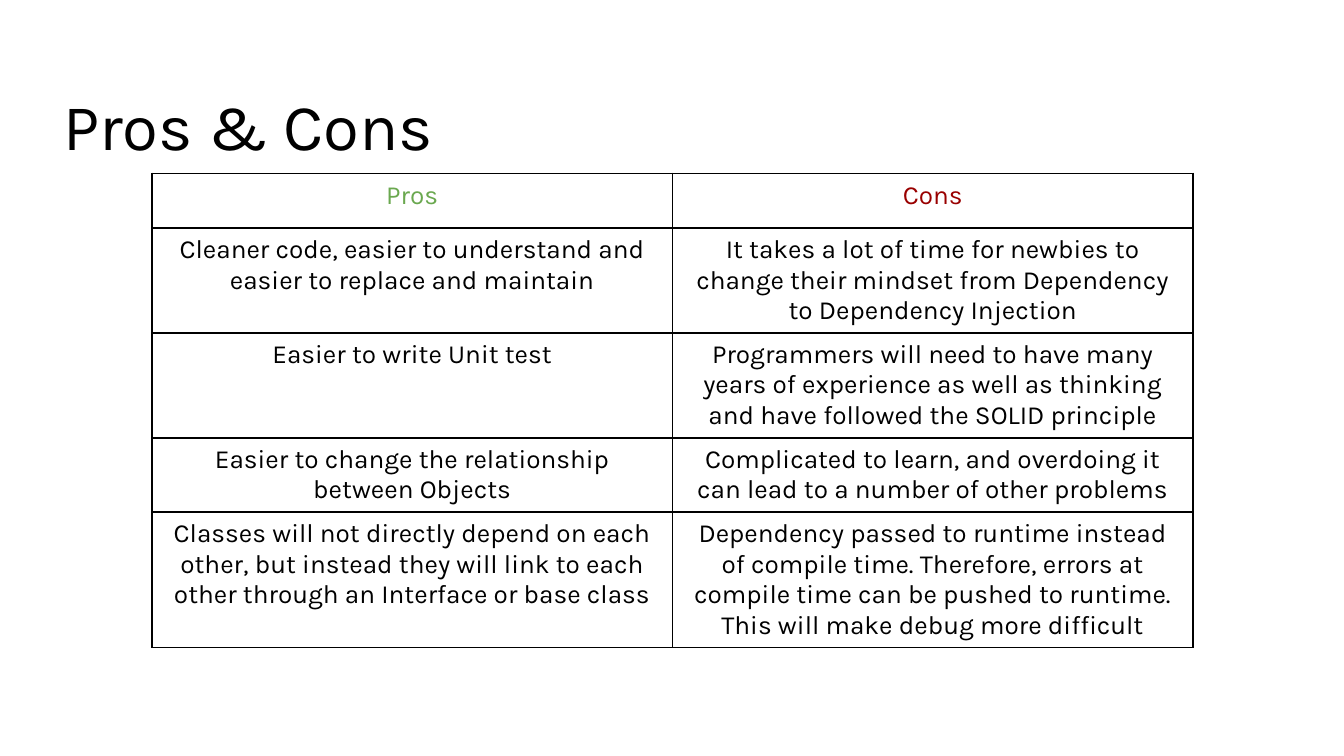
import pptx
import pptx.dml.color
import pptx.enum.text
import pptx.oxml
import pptx.oxml.ns
import pptx.util

Pt = pptx.util.Pt
RGBColor = pptx.dml.color.RGBColor
PP_ALIGN = pptx.enum.text.PP_ALIGN

BLACK = RGBColor(0x00, 0x00, 0x00)
WHITE = RGBColor(0xFF, 0xFF, 0xFF)
GREEN = RGBColor(0x6A, 0xA8, 0x4F)
RED = RGBColor(0x99, 0x00, 0x00)
FONT = "Karla"

TITLE = "Pros & Cons"
HEADINGS = [("Pros", GREEN), ("Cons", RED)]
POINTS = [
    ("Cleaner code, easier to understand and easier to replace and maintain",
     "It takes a lot of time for newbies to change their mindset from "
     "Dependency to Dependency Injection"),
    ("Easier to write Unit test",
     "Programmers will need to have many years of experience as well as "
     "thinking and have followed the SOLID principle"),
    ("Easier to change the relationship between Objects",
     "Complicated to learn, and overdoing it can lead to a number of other "
     "problems"),
    ("Classes will not directly depend on each other, but instead they will "
     "link to each other through an Interface or base class",
     "Dependency passed to runtime instead of compile time. Therefore, errors "
     "at compile time can be pushed to runtime. This will make debug more "
     "difficult"),
]

TABLE_LEFT, TABLE_TOP = 81.4, 92.9
COLUMN_WIDTH, ROW_HEIGHT = 278.9, 29.2
BORDER_WIDTH = 1


def write(paragraph, text, size, color, alignment):
    paragraph.alignment = alignment
    run = paragraph.add_run()
    run.text = text
    run.font.name = FONT
    run.font.size = Pt(size)
    run.font.color.rgb = color


def add_borders(cell):
    properties = cell._tc.get_or_add_tcPr()
    for position, side in enumerate(("lnL", "lnR", "lnT", "lnB")):
        border = pptx.oxml.parse_xml(
            f'<a:{side} {pptx.oxml.ns.nsdecls("a")} w="{Pt(BORDER_WIDTH)}">'
            f'<a:solidFill><a:srgbClr val="{BLACK}"/></a:solidFill></a:{side}>')
        properties.insert(position, border)


def add_title(slide):
    title = slide.shapes.title
    title.left, title.top = Pt(26.6), Pt(38.2)
    title.width, title.height = Pt(648), Pt(56.9)
    frame = title.text_frame
    frame.margin_left = frame.margin_right = Pt(7.2)
    frame.margin_top = frame.margin_bottom = Pt(7.2)
    frame.vertical_anchor = pptx.enum.text.MSO_ANCHOR.BOTTOM
    frame.word_wrap = True
    write(frame.paragraphs[0], TITLE, 35, BLACK, PP_ALIGN.LEFT)


def add_comparison(slide):
    rows = [HEADINGS] + [[(text, BLACK) for text in pair] for pair in POINTS]
    table = slide.shapes.add_table(
        len(rows), len(HEADINGS), Pt(TABLE_LEFT), Pt(TABLE_TOP),
        Pt(COLUMN_WIDTH * len(HEADINGS)), Pt(ROW_HEIGHT * len(rows))).table
    for row, entries in zip(table.rows, rows):
        for cell, (text, color) in zip(row.cells, entries):
            cell.fill.solid()
            cell.fill.fore_color.rgb = WHITE
            add_borders(cell)
            write(cell.text_frame.paragraphs[0], text, 14, color,
                  PP_ALIGN.CENTER)


def main():
    deck = pptx.Presentation()
    deck.slide_width, deck.slide_height = Pt(720), Pt(405)
    slide = deck.slides.add_slide(deck.slide_layouts.get_by_name("Title Only"))
    add_title(slide)
    add_comparison(slide)
    deck.save("out.pptx")


if __name__ == "__main__":
    main()
